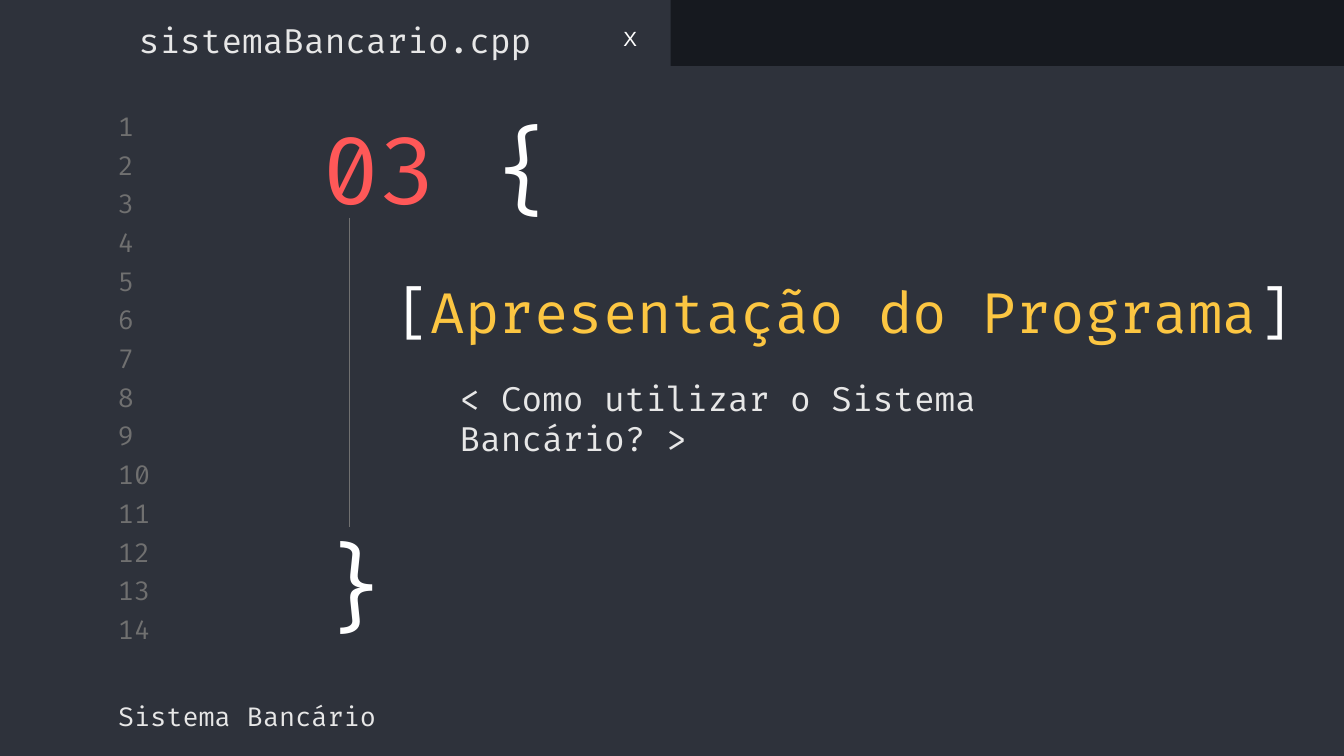
from dataclasses import dataclass

from lxml import etree
from pptx import Presentation, util as u
from pptx.dml.color import RGBColor
from pptx.enum import shapes, text
from pptx.oxml.ns import qn

COLORS = {
    "editor": "2E323B",
    "bar": "16191F",
    "gutter": "707070",
    "light": "E7E7E7",
    "white": "FFFFFF",
    "red": "FF5858",
    "yellow": "FCC642",
}
CODE_FONT = "Fira Code"
CELL = 0.1  # inches per grid column and row
SLIDE_COLS = 100
SLIDE_ROWS = SLIDE_COLS * 9 / 16
LINE_COUNT = 14
LINE_PITCH = 2.88  # rows between line numbers


@dataclass(frozen=True)
class Area:
    """Place on the grid, in columns and rows."""
    col: float
    row: float
    cols: float
    rows: float

    def emu(self) -> list[int]:
        return [grid(n) for n in (self.col, self.row, self.cols, self.rows)]


@dataclass(frozen=True)
class Label:
    area: Area
    spans: tuple[tuple[str, str], ...]  # wording and colour name
    size: float
    font: str = CODE_FONT
    align: text.PP_ALIGN = text.PP_ALIGN.LEFT
    wrap: bool = True


def grid(cells: float) -> int:
    return u.Inches(cells * CELL)


def rgb(name: str) -> RGBColor:
    return RGBColor.from_string(COLORS[name])


def write_label(box, label: Label) -> None:
    """Place a text box or placeholder and fill it with coloured spans."""
    box.left, box.top, box.width, box.height = label.area.emu()
    frame = box.text_frame
    frame.auto_size = text.MSO_AUTO_SIZE.NONE
    frame.word_wrap = label.wrap
    frame.vertical_anchor = text.MSO_ANCHOR.MIDDLE
    frame.margin_left = frame.margin_right = grid(1)
    frame.margin_top = frame.margin_bottom = grid(1)
    para = frame.paragraphs[0]
    para.alignment = label.align
    para.line_spacing = 1.0
    para.space_before = u.Pt(0)
    for wording, color in label.spans:
        span = para.add_run()
        span.text = wording
        span.font.name = label.font
        span.font.size = u.Pt(label.size)
        span.font.color.rgb = rgb(color)


def add_label(page, label: Label) -> None:
    write_label(page.shapes.add_textbox(*label.area.emu()), label)


def add_bar(page, area: Area, color: str) -> None:
    bar = page.shapes.add_shape(shapes.MSO_SHAPE.RECTANGLE, *area.emu())
    bar.shadow.inherit = False
    bar.fill.solid()
    bar.fill.fore_color.rgb = rgb(color)
    bar.line.fill.background()


def add_block_guide(page, col: float, top: float, bottom: float) -> None:
    guide = page.shapes.add_connector(
        shapes.MSO_CONNECTOR.STRAIGHT, grid(col), grid(top), grid(col), grid(bottom))
    guide.line.color.rgb = rgb("gutter")
    guide.line.width = u.Pt(0.75)
    etree.SubElement(guide._element.spPr, qn("a:effectLst"))


TITLE = Label(
    Area(28.5, 20.2, 71.5, 5.9),
    (("[", "white"), ("Apresentação do Programa", "yellow"), ("]", "white")), 30)
SUBTITLE = Label(
    Area(33.2, 26.8, 44.8, 8.6),
    (("< Como utilizar o Sistema Bancário? >", "light"),), 18)
LINE_NUMBERS = [
    Label(Area(7.8, 8.17 + i * LINE_PITCH, 4.7, 2.4), ((str(i + 1), "gutter"),), 14)
    for i in range(LINE_COUNT)
]
LABELS = [
    Label(Area(22.5, 6.4, 20.1, 12.1), (("03 ", "red"), ("{", "white")), 50,
          align=text.PP_ALIGN.CENTER),
    Label(Area(23.3, 39.2, 5.5, 8.6), (("}", "white"),), 50),
    Label(Area(7.8, 51.3, 53.2, 3.9), (("Sistema Bancário", "light"),), 14),
    Label(Area(0, 1, 49.9, 3.9), (("sistemaBancario.cpp", "light"),), 18,
          align=text.PP_ALIGN.CENTER),
    Label(Area(45.4, 1.4, 3.1, 2.9), (("X", "white"),), 11, font="Arial", wrap=False),
]


def main() -> None:
    deck = Presentation()
    deck.slide_width, deck.slide_height = grid(SLIDE_COLS), grid(SLIDE_ROWS)
    page = deck.slides.add_slide(deck.slide_layouts[0])
    page.background.fill.solid()
    page.background.fill.fore_color.rgb = rgb("editor")

    write_label(page.shapes.title, TITLE)
    write_label(page.placeholders[1], SUBTITLE)
    add_bar(page, Area(0, 0, 50, 6.5), "editor")
    add_bar(page, Area(49.9, 0, 50.1, 4.9), "bar")
    for label in LINE_NUMBERS + LABELS:
        add_label(page, label)
    add_block_guide(page, col=26.02, top=16.2, bottom=39.2)
    deck.save("out.pptx")


if __name__ == "__main__":
    main()
